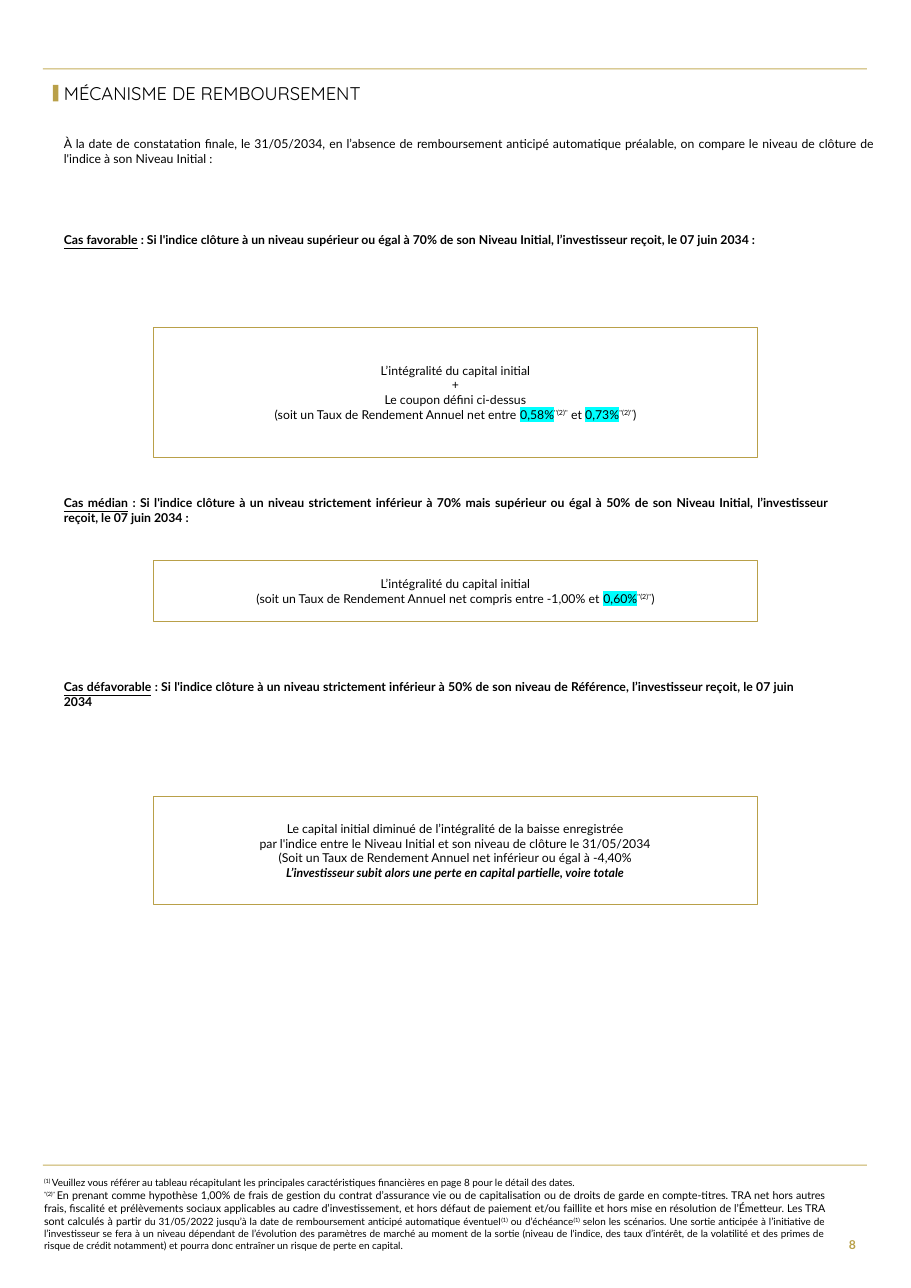
from dataclasses import dataclass, field
from typing import NamedTuple

from pptx import Presentation
from pptx.dml.color import RGBColor
from pptx.enum.shapes import MSO_SHAPE
from pptx.enum.text import MSO_ANCHOR, MSO_AUTO_SIZE, PP_ALIGN
from pptx.oxml.ns import qn
from pptx.util import Inches, Pt
from lxml import etree

RECT = MSO_SHAPE.RECTANGLE
TOP, MIDDLE = MSO_ANCHOR.TOP, MSO_ANCHOR.MIDDLE
GROW, FIXED = MSO_AUTO_SIZE.SHAPE_TO_FIT_TEXT, MSO_AUTO_SIZE.NONE
LEFT, CENTER, RIGHT, JUSTIFY = PP_ALIGN.LEFT, PP_ALIGN.CENTER, PP_ALIGN.RIGHT, PP_ALIGN.JUSTIFY

GOLD, PALE_GOLD, BLACK, CYAN = "B9A049", "C5AF5C", "000000", "00FFFF"
BODY = {"name": "Lato", "size": Pt(8)}
SMALL = {**BODY, "size": Pt(6.5)}
TITLE = {"name": "Quicksand", "size": Pt(12)}
BOLD = {"bold": True}
CASE = {"bold": True, "underline": True}
LOSS = {"bold": True, "italic": True}


class Run(NamedTuple):
    text: str
    fmt: dict = {}
    raised: bool = False
    highlight: str = ""


class Box(NamedTuple):
    left: float
    top: float
    width: float
    height: float


@dataclass
class TextBlock:
    box: Box
    paragraphs: list[list[Run]]
    base: dict = field(default_factory=lambda: BODY)
    align: PP_ALIGN = JUSTIFY
    anchor: MSO_ANCHOR = TOP
    auto_size: MSO_AUTO_SIZE = GROW
    margins: tuple[float, float] = (0, 0)
    color: str = BLACK
    spacing: float = 1.0


def rgb(value: str) -> RGBColor:
    return RGBColor.from_string(value)


def add_run(p, run: Run, block: TextBlock) -> None:
    r = p.add_run()
    r.text = run.text
    for name, value in {**block.base, **run.fmt}.items():
        setattr(r.font, name, value)
    r.font.color.rgb = rgb(block.color)
    rPr = r.font._element
    if run.raised:
        rPr.set("baseline", "30000")
    if run.highlight:
        hl = etree.Element(qn("a:highlight"))
        etree.SubElement(hl, qn("a:srgbClr"), val=run.highlight)
        rPr.find(qn("a:solidFill")).addnext(hl)


def fill_text(sp, block: TextBlock) -> None:
    tf = sp.text_frame
    side, edge = map(Inches, block.margins)
    frame_format = {
        "word_wrap": True, "auto_size": block.auto_size, "vertical_anchor": block.anchor,
        "margin_left": side, "margin_right": side, "margin_top": edge, "margin_bottom": edge,
    }
    for name, value in frame_format.items():
        setattr(tf, name, value)
    for i, runs in enumerate(block.paragraphs):
        p = tf.add_paragraph() if i else tf.paragraphs[0]
        p.alignment = block.align
        p.line_spacing = block.spacing
        for run in runs:
            add_run(p, run, block)


def add_text(s, block: TextBlock) -> None:
    fill_text(s.shapes.add_textbox(*map(Inches, block.box)), block)


def add_rect(s, box: Box, fill: str = "", line: str = ""):
    sp = s.shapes.add_shape(RECT, *map(Inches, box))
    sp.shadow.inherit = False
    if fill:
        sp.fill.solid()
        sp.fill.fore_color.rgb = rgb(fill)
    else:
        sp.fill.background()
    if line:
        sp.line.color.rgb = rgb(line)
        sp.line.width = Pt(0.5)
    else:
        sp.line.fill.background()
    return sp


def add_payoff(s, top: float, height: float, paragraphs: list[list[Run]]) -> None:
    box = Box(1.39, top, 5.49, height)
    block = TextBlock(box, paragraphs, align=CENTER, anchor=MIDDLE, margins=(0.12, 0.08))
    fill_text(add_rect(s, box, line=GOLD), block)


def add_case(s, box: Box, name: str, condition: str) -> None:
    add_text(s, TextBlock(box, [[Run(name, CASE), Run(f" : {condition}", BOLD)]]))


NOTE_1 = Run("(1)", raised=True)
NOTE_2 = Run("''(2)''", raised=True)
CAPITAL = [Run("L’intégralité du capital initial")]

FOOTNOTES = [
    [Run("(1) ", raised=True),
     Run("Veuillez vous référer au tableau récapitulant les principales caractéristiques "
         "financières en page 8 pour le détail des dates.")],
    [Run("''(2)'' ", raised=True),
     Run("En prenant comme hypothèse 1,00% de frais de gestion du contrat d’assurance vie ou de "
         "capitalisation ou de droits de garde en compte-titres. TRA net hors autres frais, "
         "fiscalité et prélèvements sociaux applicables au cadre d’investissement, et hors défaut "
         "de paiement et/ou faillite et hors mise en résolution de l’Émetteur. Les TRA sont "
         "calculés à partir ", {"size": Pt(7)}),
     Run("du 31/05/2022 jusqu’à la date de remboursement anticipé automatique éventuel"),
     NOTE_1, Run(" ou d’échéance"), NOTE_1,
     Run(" selon les scénarios. Une sortie anticipée à l’initiative de l’investisseur se fera à "
         "un niveau dépendant de l’évolution des paramètres de marché au moment de la sortie "
         "(niveau de l'indice, des taux d’intérêt, de la volatilité et des primes de risque de "
         "crédit notamment) et pourra donc entraîner un risque de perte en capital.")],
]

TEXTS = [
    TextBlock(Box(7.48, 11.09, 0.39, 0.42), [[Run("8", BOLD)]], align=RIGHT, anchor=MIDDLE,
              auto_size=FIXED, margins=(0.1, 0.05), color=GOLD),
    TextBlock(Box(0.4, 10.68, 7.09, 0.68), FOOTNOTES, SMALL),
    TextBlock(Box(0.58, 0.73, 4.21, 0.25), [[Run("MÉCANISME DE REMBOURSEMENT")]], TITLE, LEFT,
              MIDDLE, FIXED, spacing=0.9),
    TextBlock(Box(0.58, 1.24, 7.37, 0.27), [[Run(
        "À la date de constatation finale, le 31/05/2034, en l’absence de remboursement anticipé "
        "automatique préalable, on compare le niveau de clôture de l'indice à son Niveau "
        "Initial :")]]),
]

CASES = [
    (Box(0.58, 2.11, 6.64, 0.13), "Cas favorable",
     "Si l'indice clôture à un niveau supérieur ou égal à 70% de son Niveau Initial, "
     "l’investisseur reçoit, le 07 juin 2034 :"),
    (Box(0.58, 4.5, 6.95, 0.27), "Cas médian",
     "Si l'indice clôture à un niveau strictement inférieur à 70% mais supérieur ou égal à 50% "
     "de son Niveau Initial, l’investisseur reçoit, le 07 juin 2034 :"),
    (Box(0.58, 6.17, 6.64, 0.27), "Cas défavorable",
     "Si l'indice clôture à un niveau strictement inférieur à 50% de son niveau de Référence, "
     "l’investisseur reçoit, le 07 juin 2034"),
]

PAYOFFS = [
    (2.97, 1.18, [
        CAPITAL, [Run("+")], [Run("Le coupon défini ci-dessus")],
        [Run("(soit un Taux de Rendement Annuel net entre "), Run("0,58%", highlight=CYAN), NOTE_2,
         Run(" et "), Run("0,73%", highlight=CYAN), NOTE_2, Run(")")]]),
    (5.09, 0.55, [
        CAPITAL,
        [Run("(soit un Taux de Rendement Annuel net compris entre -1,00% et "),
         Run("0,60%", highlight=CYAN), NOTE_2, Run(")")]]),
    (7.23, 0.98, [
        [Run("Le capital initial diminué de l’intégralité de la baisse enregistrée")],
        [Run("par l'indice entre le Niveau Initial et son niveau de clôture le 31/05/2034")],
        [Run("(Soit un Taux de Rendement Annuel net inférieur ou égal à -4,40%")],
        [Run("L’investisseur subit alors une perte en capital partielle, voire totale", LOSS)]]),
]


def main() -> None:
    prs = Presentation()
    prs.slide_width, prs.slide_height = Inches(8.27), Inches(11.69)
    s = prs.slides.add_slide(prs.slide_layouts[6])
    for rule_top in (0.62, 10.57):
        add_rect(s, Box(0.39, rule_top, 7.48, 0.01), fill=PALE_GOLD)
    add_rect(s, Box(0.48, 0.77, 0.05, 0.15), fill=GOLD)
    for block in TEXTS:
        add_text(s, block)
    for case in CASES:
        add_case(s, *case)
    for payoff in PAYOFFS:
        add_payoff(s, *payoff)
    prs.save("out.pptx")


if __name__ == "__main__":
    main()
